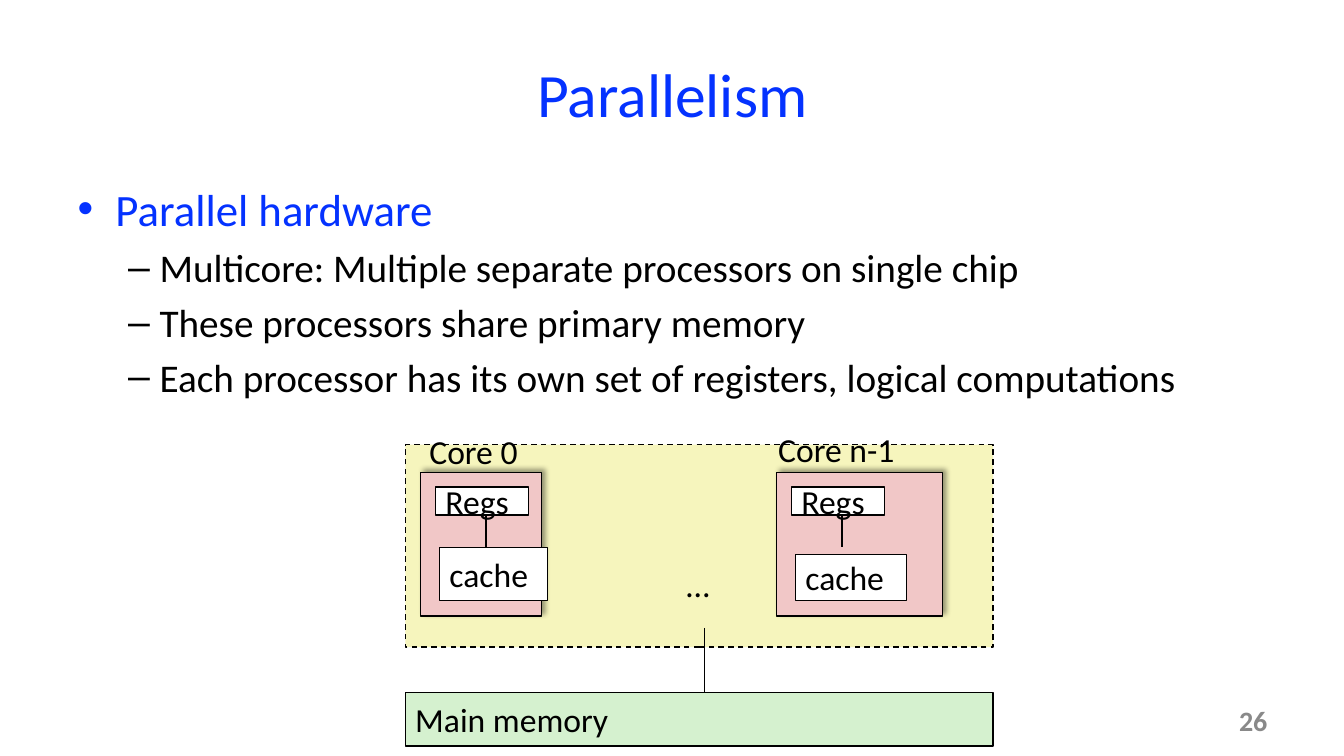
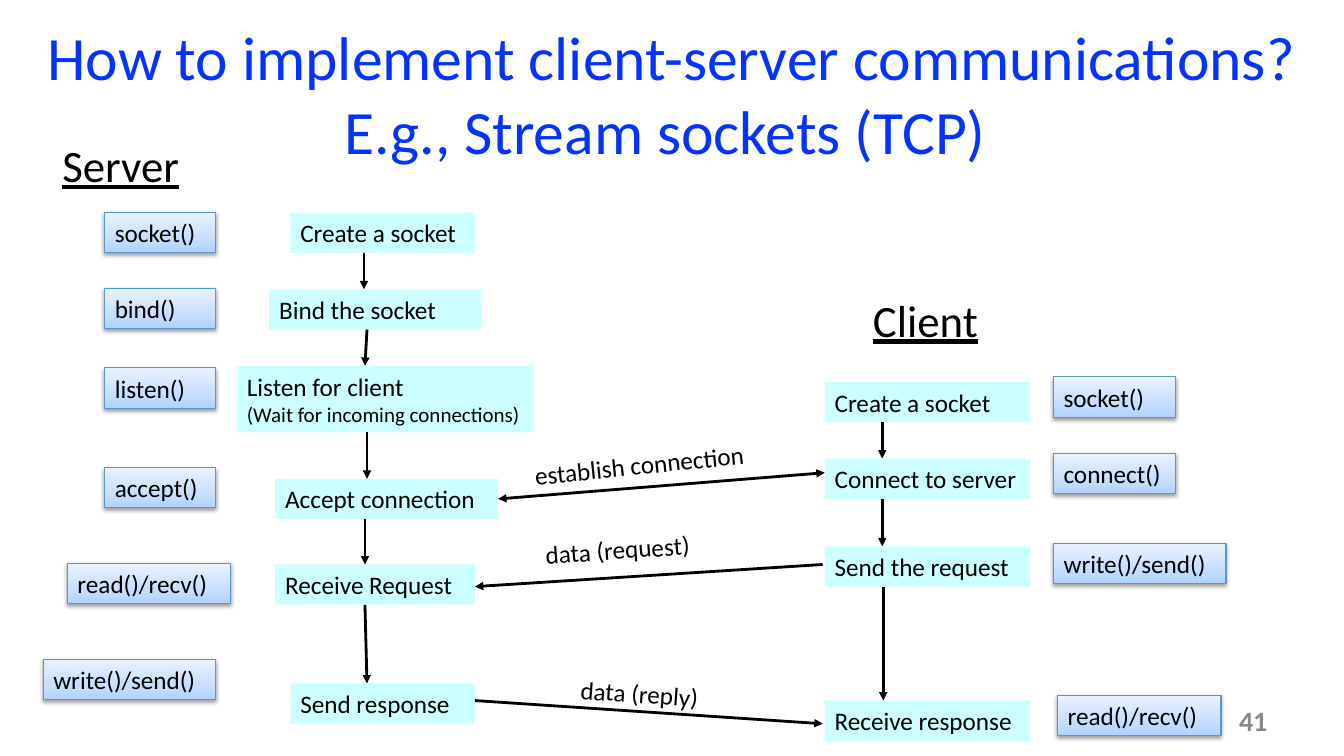
from lxml import etree
from pptx import Presentation
from pptx import util as u
from pptx.dml.color import RGBColor
from pptx.enum import dml, shapes, text
from pptx.oxml import parse_xml
from pptx.oxml.ns import qn

PX = 9144  # one px is a hundredth of an inch
FONT = "Calibri"
NS = 'xmlns:a="http://schemas.openxmlformats.org/drawingml/2006/main"'
C = {
    "title": "0432FF", "ink": "000000", "number": "898989", "white": "FFFFFF",
    "chip": "F6F5BD", "core": "F1C7C7", "memory": "D5F1CF", "step": "CCFFFF",
    "call_line": "5698D3",
}
CALL_STOPS = [(0, "B0D2FF"), (35, "C7DEFF"), (100, "EAF2FF")]
# opacity %, blur pt, distance pt, direction in degrees
CORE_SHADOW = (40, 4, 3, 315)
CALL_SHADOW = (38, 3.1, 1.6, 90)


def rgb(name):
    return RGBColor.from_string(C[name])


def place(sp, box):
    for name, px in zip(("left", "top", "width", "height"), box):
        setattr(sp, name, px * PX)


def style_run(r, size, color="ink", **fmt):
    for name, value in {"name": FONT, "size": u.Pt(size), **fmt}.items():
        setattr(r.font, name, value)
    r.font.color.rgb = rgb(color)


def write(sp, lines, wrap=True, anchor="TOP", align="LEFT", color="ink", **fmt):
    """Fill a shape with (text, size) lines, one paragraph each."""
    tf = sp.text_frame
    frame = {"auto_size": text.MSO_AUTO_SIZE.NONE, "word_wrap": wrap,
             "vertical_anchor": getattr(text.MSO_ANCHOR, anchor)}
    for name, value in frame.items():
        setattr(tf, name, value)
    for i, (line, size) in enumerate(lines):
        p = tf.paragraphs[0] if i == 0 else tf.add_paragraph()
        p.text = line
        p.alignment = getattr(text.PP_ALIGN, align)
        for r in p.runs:
            style_run(r, size, color, **fmt)


def label(slide, box, line, size, rotation=0, **fmt):
    sp = slide.shapes.add_textbox(0, 0, 0, 0)
    place(sp, box)
    sp.rotation = rotation
    write(sp, [(line, size)], **fmt)


def rect(slide, box, fill=None, line=None, width=1, dash=False, shadow=None):
    sp = slide.shapes.add_shape(shapes.MSO_SHAPE.RECTANGLE, 0, 0, 0, 0)
    place(sp, box)
    sp.shadow.inherit = False
    if fill:
        sp.fill.solid()
        sp.fill.fore_color.rgb = rgb(fill)
    if line:
        sp.line.color.rgb = rgb(line)
        sp.line.width = u.Pt(width)
    else:
        sp.line.fill.background()
    if dash:
        sp.line.dash_style = dml.MSO_LINE.DASH
    if shadow:
        add_shadow(sp, *shadow)
    return sp


def add_shadow(sp, opacity, blur, dist, angle):
    effects = sp._element.spPr.find(qn("a:effectLst"))
    effects.append(parse_xml(
        f'<a:outerShdw {NS} blurRad="{u.Pt(blur)}" dist="{u.Pt(dist)}" '
        f'dir="{angle * 60000}" rotWithShape="0"><a:srgbClr val="{C["ink"]}">'
        f'<a:alpha val="{opacity * 1000}"/></a:srgbClr></a:outerShdw>'))


def add_gradient(sp, stops):
    """Upward gradient, from the first stop at the bottom."""
    gs = "".join(f'<a:gs pos="{pos * 1000}"><a:srgbClr val="{color}"/></a:gs>'
                 for pos, color in stops)
    sp._element.spPr.find(qn("a:prstGeom")).addnext(parse_xml(
        f'<a:gradFill {NS} rotWithShape="1"><a:gsLst>{gs}</a:gsLst>'
        '<a:lin ang="16200000" scaled="0"/></a:gradFill>'))


def connect(slide, start, end, width=1, ends=()):
    ln = slide.shapes.add_connector(
        shapes.MSO_CONNECTOR.STRAIGHT, *(v * PX for v in (*start, *end)))
    ln.line.color.rgb = rgb("ink")
    ln.line.width = u.Pt(width)
    for name in ends:
        etree.SubElement(ln.line._get_or_add_ln(), qn(f"a:{name}"), type="triangle")
    etree.SubElement(ln._element.spPr, qn("a:effectLst"))


def base_slide(prs, layout, title, title_box, number):
    """Slide with the shared title style and page number."""
    slide = prs.slides.add_slide(prs.slide_layouts[layout])
    place(slide.shapes.title, title_box)
    write(slide.shapes.title, [(title, 44)], anchor="MIDDLE", align="CENTER",
          color="title")
    label(slide, (956, 695, 311, 40), number, 20, anchor="MIDDLE",
          align="RIGHT", color="number", bold=True)
    return slide


# Multicore slide
def bullets(slide, box, heading, points):
    sp = slide.placeholders[1]
    place(sp, box)
    write(sp, [(heading, 32)] + [(point, 28) for point in points])
    first, *rest = sp.text_frame.paragraphs
    first.runs[0].font.color.rgb = rgb("title")
    for p in rest:
        p.level = 1


def core(slide, box, name, name_box, cache_box):
    x, y, _, _ = box
    rect(slide, box, "core", "ink", shadow=CORE_SHADOW)
    for line, (dx, dy, w, h) in (("Regs", (15, 14, 92, 28)), ("cache", cache_box)):
        sp = rect(slide, (x + dx, y + dy, w, h), "white", "ink")
        write(sp, [(line, 24)], wrap=False, anchor="MIDDLE")
    connect(slide, (x + 65, y + 42), (x + 65, y + 74))
    dx, dy, w = name_box
    label(slide, (x + dx, y + dy, w, 50), name, 24, wrap=False)


def multicore_chip(slide, box):
    x, y, w, h = box
    rect(slide, (x, y, w, 201), "chip", "ink", dash=True)
    core(slide, (x + 15, y + 28, 120, 142), "Core 0", (-1, -46, 108),
         (19, 74, 107, 53))
    core(slide, (x + 368, y + 28, 165, 142), "Core n-1", (-8, -48, 137),
         (19, 81, 110, 46))
    label(slide, (x + 269, y + 114, 44, 50), "…", 24, wrap=False)
    memory = rect(slide, (x, y + h - 53, w, 53), "memory", "ink")
    write(memory, [("Main memory", 24)], anchor="MIDDLE")
    connect(slide, (x + 297, y + 182), (x + 297, y + h - 53))


def parallelism(prs):
    slide = base_slide(prs, 1, "Parallelism", (67, 30, 1200, 125), "26")
    bullets(slide, (67, 175, 1200, 495), "Parallel hardware", [
        "Multicore: Multiple separate processors on single chip",
        "These processors share primary memory",
        "Each processor has its own set of registers, logical computations",
    ])
    multicore_chip(slide, (402, 441, 583, 299))


# Socket slide: call (x, y, width, text), step (x, y, width, lines),
# and the x of both ends of the arrow to the next step
SERVER = [
    ((61, 0, 110, "socket()"), (245, 0, 183, ["Create a socket"]), (318, 318)),
    ((61, 75, 110, "bind()"), (224, 76, 210, ["Bind the socket"]), (321, 319)),
    ((61, 154, 110, "listen()"),
     (192, 152, 295, ["Listen for client", "(Wait for incoming connections)"]),
     (321, 321)),
    ((61, 253, 110, "accept()"), (230, 264, 221, ["Accept connection"]), (319, 319)),
    ((24, 348, 162, "read()/recv()"), (230, 349, 198, ["Receive Request"]),
     (319, 321)),
    ((0, 443, 171, "write()/send()"), (245, 467, 183, ["Send response"]), None),
]
CLIENT = [
    ((227, -5, 121, "socket()"), (0, 0, 204, ["Create a socket"]), (57, 57)),
    ((227, 71, 121, "connect()"), (0, 76, 204, ["Connect to server"]), (57, 57)),
    ((227, 160, 171, "write()/send()"), (0, 163, 204, ["Send the request"]),
     (58, 58)),
    ((231, 311, 162, "read()/recv()"), (0, 316, 204, ["Receive response"]), None),
]
# text, box, rotation, from, to, arrowheads
MESSAGES = [
    ("establish connection", (520, 440, 250, 40), -6, (818, 469), (494, 495),
     ("headEnd", "tailEnd")),
    ("data (request)", (531, 525, 166, 40), -4, (816, 560), (471, 582), ("tailEnd",)),
    ("data (reply)", (566, 668, 139, 40), 4.1, (471, 695), (816, 718), ("tailEnd",)),
]


def socket_flow(slide, origin, rows, heading, heading_box):
    x, y = origin
    label(slide, heading_box, heading, 32, wrap=False, underline=True)
    for i, (call, step, arrow) in enumerate(rows):
        cx, cy, cw, name = call
        sp = rect(slide, (x + cx, y + cy, cw, 40), line="call_line", width=0.75,
                  shadow=CALL_SHADOW)
        add_gradient(sp, CALL_STOPS)
        write(sp, [(name, 18)])

        sx, sy, sw, lines = step
        height = 40 + 26 * (len(lines) - 1)
        sp = rect(slide, (x + sx, y + sy, sw, height), "step")
        write(sp, list(zip(lines, (18, 15))))
        if arrow:
            next_top = rows[i + 1][1][1]
            connect(slide, (x + arrow[0], y + sy + height),
                    (x + arrow[1], y + next_top), 2, ("tailEnd",))


def stream_sockets(prs):
    slide = base_slide(
        prs, 5, "How to implement client-server communications?\v"
        "E.g., Stream sockets (TCP)\t", (0, 30, 1333, 125), "41")
    socket_flow(slide, (43, 211), SERVER, "Server", (52, 132, 125, 64))
    socket_flow(slide, (818, 379), CLIENT, "Client", (856, 285, 125, 64))
    for line, box, rotation, start, end, ends in MESSAGES:
        connect(slide, start, end, 2, ends)
        label(slide, box, line, 18, rotation)


def main():
    prs = Presentation()
    prs.slide_width, prs.slide_height = 1333 * PX, 750 * PX
    parallelism(prs)
    stream_sockets(prs)
    prs.save("out.pptx")


if __name__ == "__main__":
    main()
